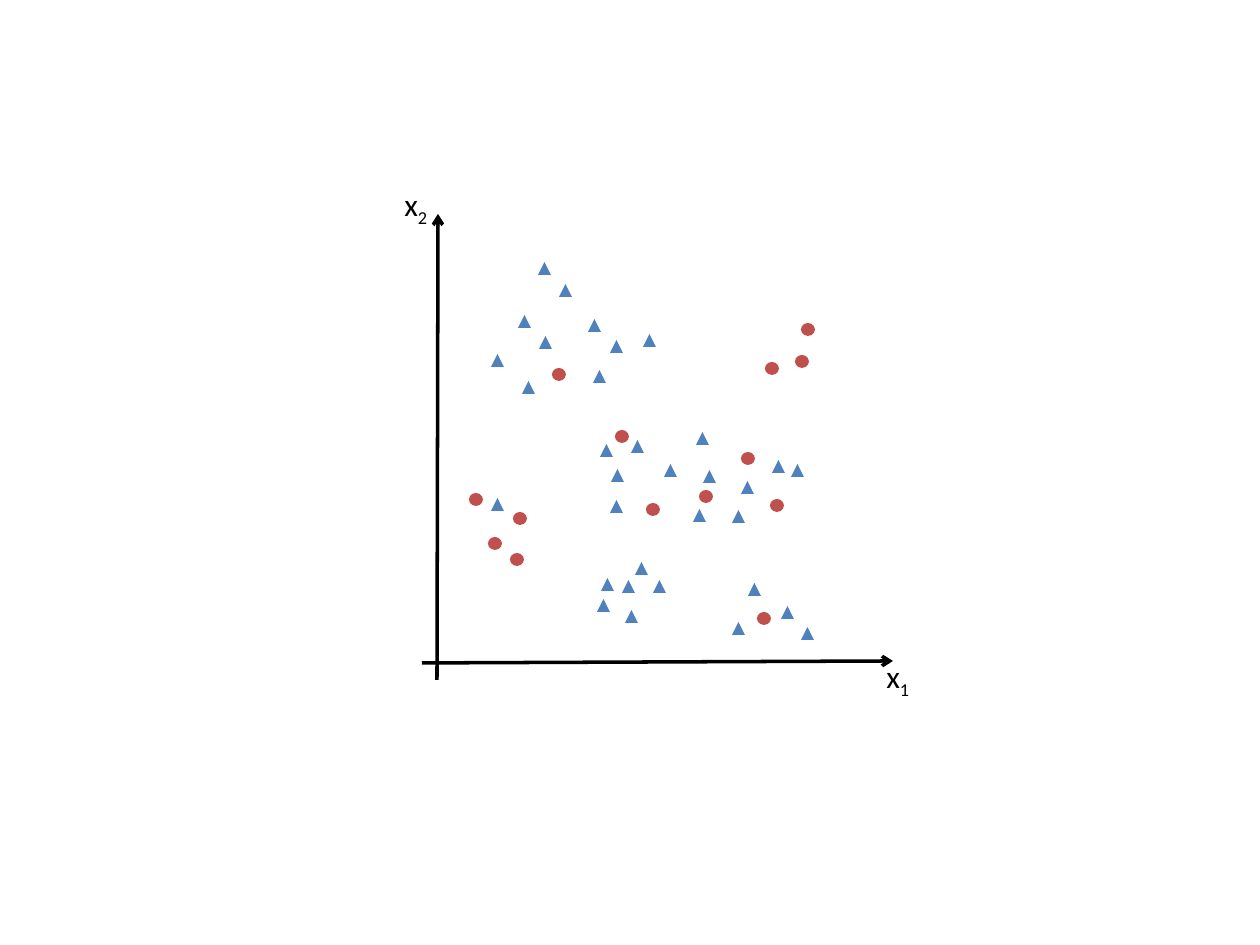
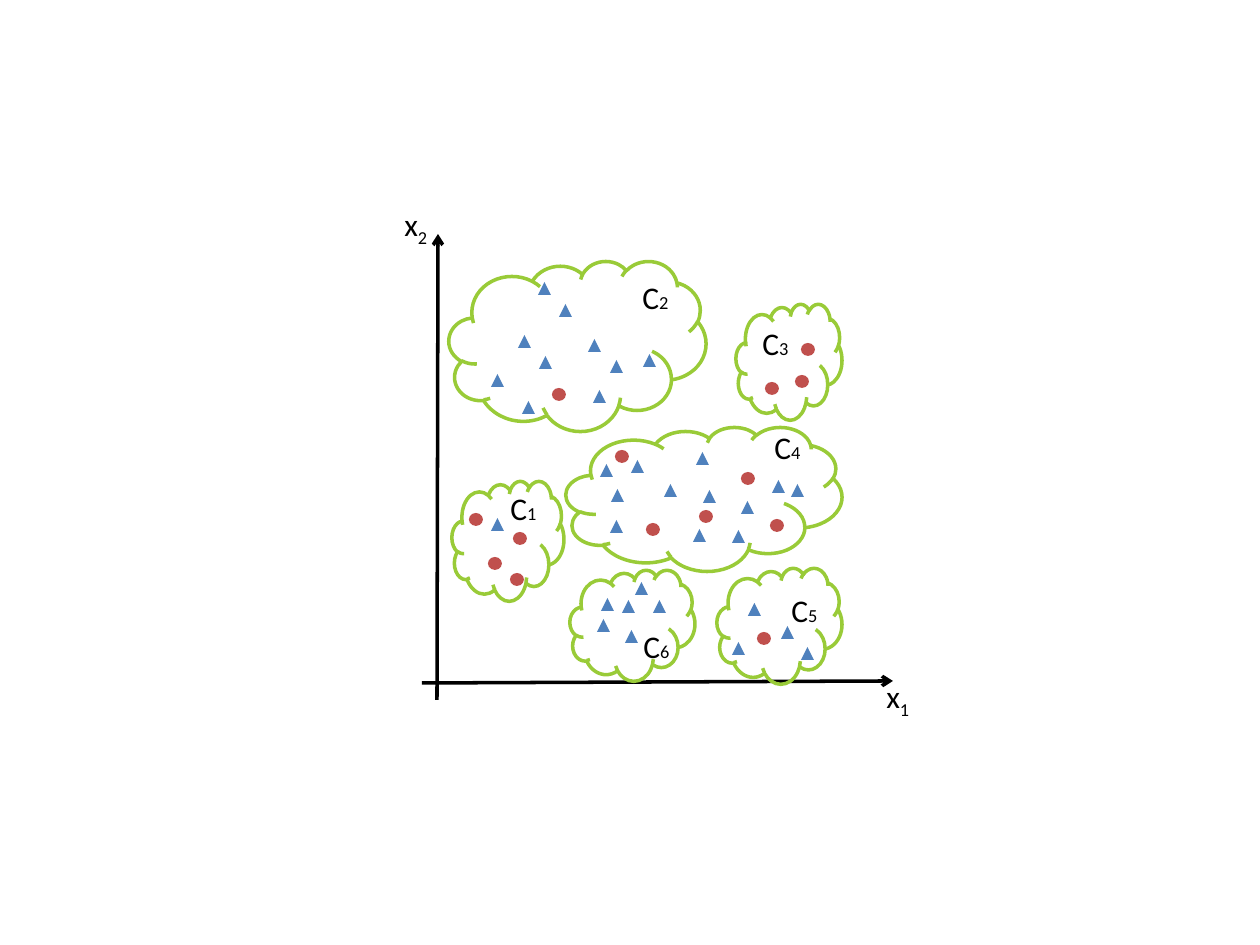
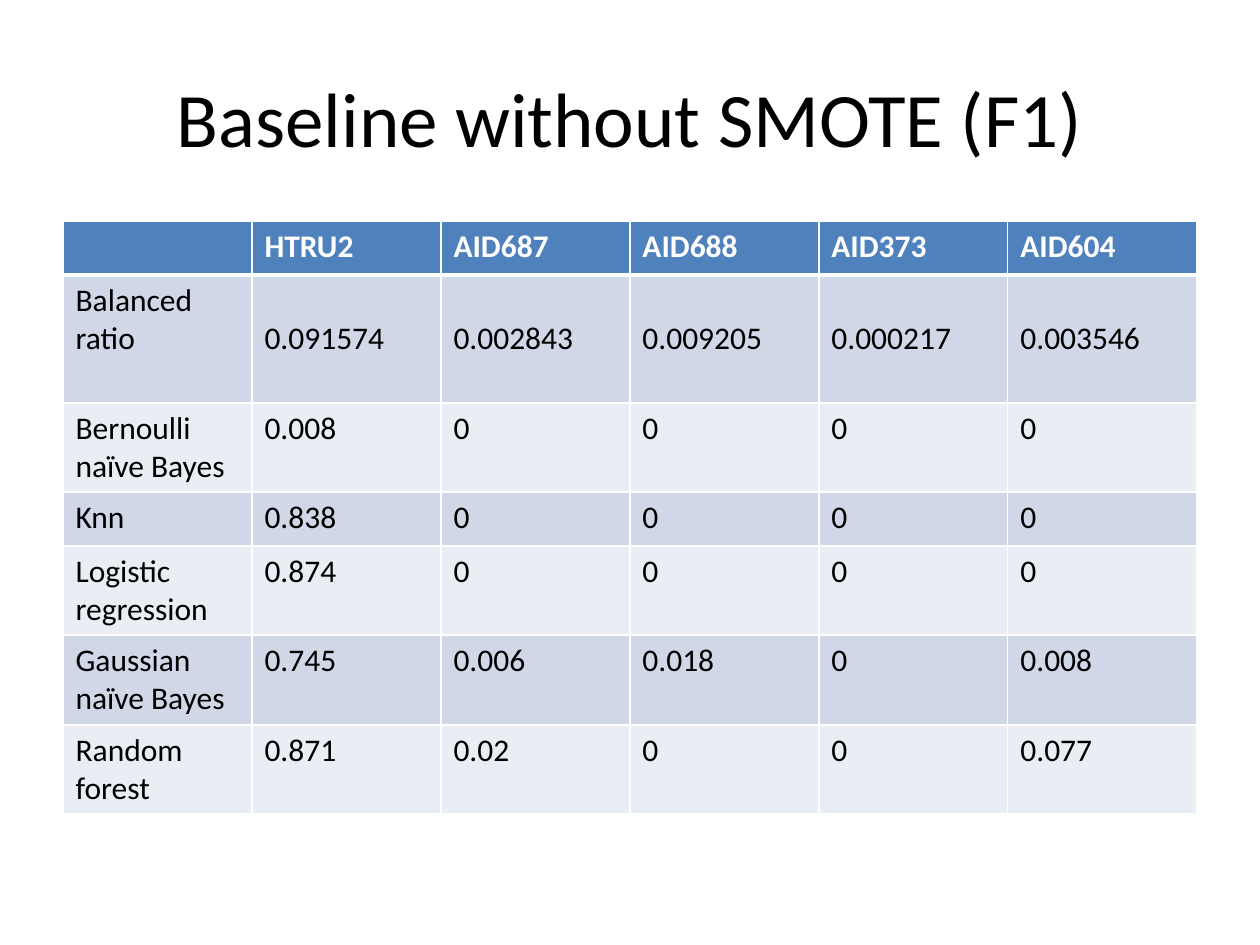
from dataclasses import dataclass

from lxml import etree
from pptx import Presentation
from pptx.dml.color import RGBColor
from pptx.enum import shapes, text
from pptx.oxml import ns
from pptx.util import Emu, Pt

PX = 914400 // 126  # EMU in one pixel


@dataclass(frozen=True)
class Theme:
    font: str = "Calibri"
    ink: str = "000000"
    white: str = "FFFFFF"
    triangle: str = "4F81BD"
    circle: str = "C0504D"
    cloud: str = "99CB38"
    header: str = "4F81BD"
    bands: tuple = ("D0D8E8", "E9EDF4")
    title_size: float = 44
    body_size: float = 18
    index_size: float = 10.5
    line_width: float = 2


THEME = Theme()
MARK = 13  # marker size
LABEL = 51  # width and height of a label box
CLUSTERED_SHIFT = 20  # the clustered plot sits this much lower


@dataclass(frozen=True)
class Cluster:
    cloud: tuple  # left, top, width, height on the clustered slide
    label: tuple  # left, top of the label on the clustered slide
    triangles: tuple  # left, top of each marker on the plain plot
    circles: tuple


CLUSTERS = {
    "1": Cluster((452, 481, 112, 120), (498, 483),
                 ((491, 498),),
                 ((469, 493), (513, 512), (510, 553), (488, 537))),
    "2": Cluster((449, 261, 257, 170), (630, 272),
                 ((491, 354), (522, 381), (593, 370), (643, 334), (538, 262),
                  (518, 315), (588, 319), (559, 284), (539, 336), (610, 340)),
                 ((552, 368),)),
    "3": Cluster((736, 304, 106, 116), (750, 318),
                 (),
                 ((765, 362), (801, 323), (795, 355))),
    "4": Cluster((566, 427, 276, 144), (762, 422),
                 ((611, 469), (732, 510), (664, 464), (791, 464), (600, 444),
                  (610, 500), (741, 481), (631, 440), (703, 470), (693, 509),
                  (696, 432), (772, 460)),
                 ((615, 430), (741, 452), (699, 490), (646, 503), (770, 499))),
    "5": Cluster((717, 568, 125, 116), (779, 585),
                 ((781, 606), (748, 583), (732, 622), (801, 627)),
                 ((757, 612),)),
    "6": Cluster((570, 570, 125, 111), (631, 621),
                 ((635, 562), (597, 599), (601, 578), (625, 610), (653, 580),
                  (622, 580)),
                 ()),
}

SCORES = (
    ("", "HTRU2", "AID687", "AID688", "AID373", "AID604"),
    ("Balanced ratio", "0.091574", "0.002843", "0.009205", "0.000217", "0.003546"),
    ("Bernoulli naïve Bayes", "0.008", "0", "0", "0", "0"),
    ("Knn", "0.838", "0", "0", "0", "0"),
    ("Logistic regression", "0.874", "0", "0", "0", "0"),
    ("Gaussian naïve Bayes", "0.745", "0.006", "0.018", "0", "0.008"),
    ("Random forest", "0.871", "0.02", "0", "0", "0.077"),
)
ROW_HEIGHTS = (54, 128, 89, 54, 89, 90, 89)


def px(*lengths):
    return [Emu(length * PX) for length in lengths]


def rgb(colour):
    return RGBColor.from_string(colour)


def add_run(paragraph, words, size=THEME.body_size, colour=THEME.ink, bold=False):
    run = paragraph.add_run()
    run.text = words
    run.font.name = THEME.font
    run.font.size = Pt(size)
    run.font.bold = bold
    run.font.color.rgb = rgb(colour)
    return run


def add_text_box(slide, left, top, width, height):
    frame = slide.shapes.add_textbox(*px(left, top, width, height)).text_frame
    frame.word_wrap = True
    return frame


def add_marker(slide, preset, colour, left, top, width=MARK):
    marker = slide.shapes.add_shape(preset, *px(left, top, width, MARK))
    marker.shadow.inherit = False
    marker.fill.solid()
    marker.fill.fore_color.rgb = rgb(colour)
    marker.line.fill.background()


def add_axis(slide, start, end):
    axis = slide.shapes.add_connector(
        shapes.MSO_CONNECTOR.STRAIGHT, *px(*start, *end))
    axis.line.color.rgb = rgb(THEME.ink)
    axis.line.width = Pt(THEME.line_width)
    arrowhead = etree.SubElement(axis.line._get_or_add_ln(), ns.qn("a:tailEnd"))
    arrowhead.set("type", "arrow")
    etree.SubElement(axis._element.spPr, ns.qn("a:effectLst"))


def add_axis_label(slide, index, left, top):
    label = add_text_box(slide, left, top, LABEL, LABEL).paragraphs[0]
    add_run(label, "x")
    subscript = add_run(label, index)
    subscript.font._element.set("baseline", "-25000")


def add_cluster_outline(slide, index, cluster):
    cloud = slide.shapes.add_shape(shapes.MSO_SHAPE.CLOUD, *px(*cluster.cloud))
    cloud.shadow.inherit = False
    cloud.fill.background()
    cloud.line.color.rgb = rgb(THEME.cloud)
    cloud.line.width = Pt(THEME.line_width)
    label = add_text_box(slide, *cluster.label, LABEL, LABEL).paragraphs[0]
    add_run(label, "C")
    add_run(label, index, THEME.index_size)


def add_scatter(slide, shift=0):
    # Axes and their names
    add_axis(slide, (422, 663 + shift), (893, 661 + shift))
    add_axis(slide, (437, 680 + shift), (438, 214 + shift))
    add_axis_label(slide, "2", 392, 179 + shift)
    add_axis_label(slide, "1", 874, 651 + shift)
    # Samples of both classes
    for cluster in CLUSTERS.values():
        for left, top in cluster.triangles:
            add_marker(slide, shapes.MSO_SHAPE.FLOWCHART_EXTRACT,
                       THEME.triangle, left, top + shift)
        for left, top in cluster.circles:
            add_marker(slide, shapes.MSO_SHAPE.OVAL,
                       THEME.circle, left, top + shift, MARK + 1)


def add_title(slide, words):
    frame = add_text_box(slide, 63, 38, 1134, 158)
    frame.vertical_anchor = text.MSO_ANCHOR.MIDDLE
    frame.paragraphs[0].alignment = text.PP_ALIGN.CENTER
    add_run(frame.paragraphs[0], words, THEME.title_size)


def set_borders(cell, bottom_width):
    properties = cell._tc.get_or_add_tcPr()
    for side, width in (("L", 1), ("R", 1), ("T", 1), ("B", bottom_width)):
        border = etree.SubElement(properties, ns.qn("a:ln" + side), w=str(Pt(width)))
        fill = etree.SubElement(border, ns.qn("a:solidFill"))
        etree.SubElement(fill, ns.qn("a:srgbClr"), val=THEME.white)


def add_score_table(slide):
    scores = slide.shapes.add_table(
        len(SCORES), len(SCORES[0]), *px(63, 221, 1134, sum(ROW_HEIGHTS))).table
    for row, height in zip(scores.rows, ROW_HEIGHTS):
        row.height = Emu(height * PX)
    for r, row in enumerate(SCORES):
        is_header = r == 0
        for c, words in enumerate(row):
            cell = scores.cell(r, c)
            set_borders(cell, 3 if is_header else 1)
            cell.fill.solid()
            cell.fill.fore_color.rgb = rgb(
                THEME.header if is_header else THEME.bands[(r - 1) % 2])
            # The ratios stand in the middle of their tall row
            if r == 1 and c > 0:
                cell.vertical_anchor = text.MSO_ANCHOR.MIDDLE
            if words:
                add_run(cell.text_frame.paragraphs[0], words,
                        colour=THEME.white if is_header else THEME.ink,
                        bold=is_header)


def main():
    deck = Presentation()
    deck.slide_width, deck.slide_height = px(1260, 945)
    blank = deck.slide_layouts[6]

    # Samples alone
    add_scatter(deck.slides.add_slide(blank))

    # Samples with their clusters
    clustered = deck.slides.add_slide(blank)
    add_scatter(clustered, CLUSTERED_SHIFT)
    for index, cluster in CLUSTERS.items():
        add_cluster_outline(clustered, index, cluster)

    # Scores
    baseline = deck.slides.add_slide(blank)
    add_title(baseline, "Baseline without SMOTE (F1)")
    add_score_table(baseline)

    deck.save("out.pptx")


main()
